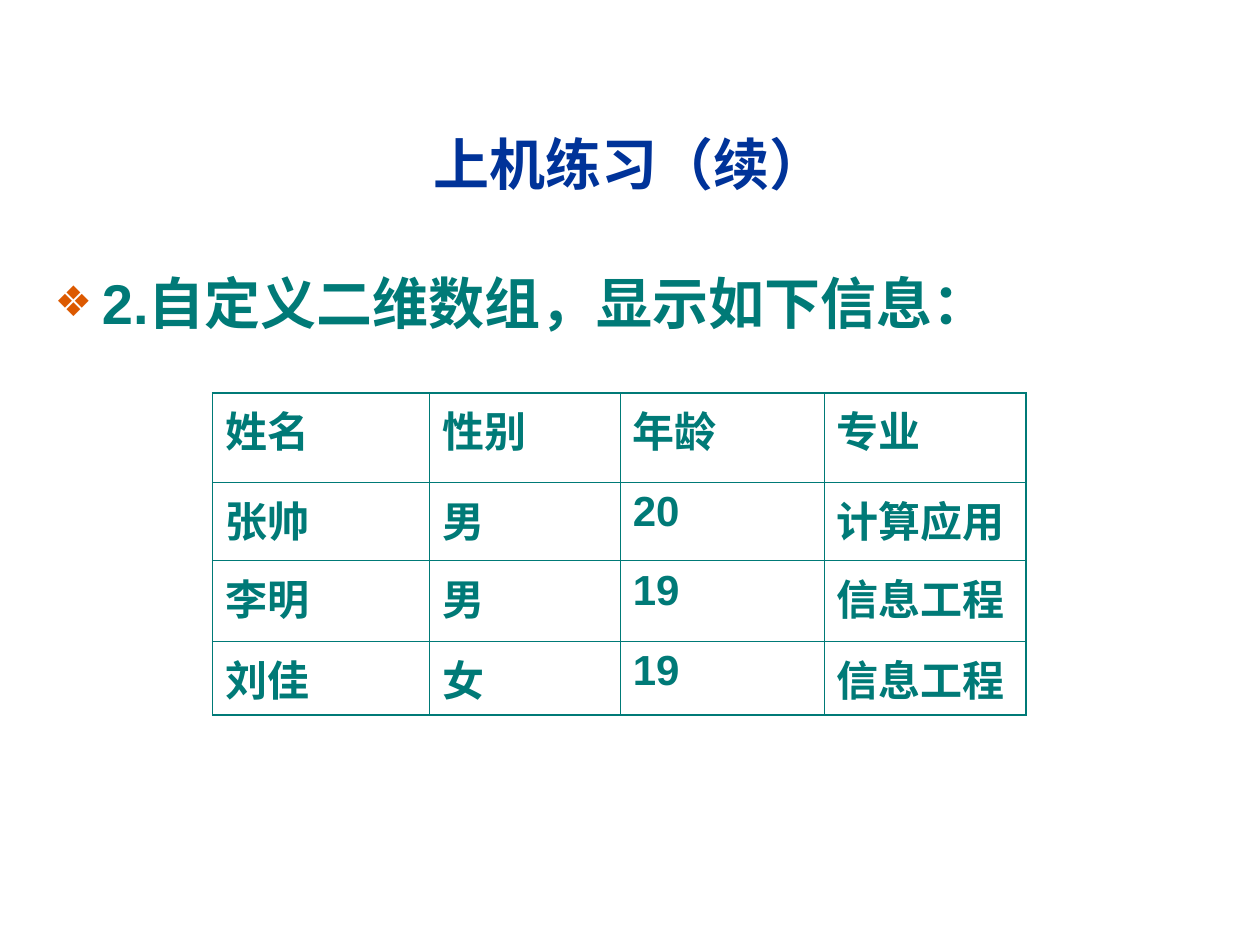
import dataclasses

import lxml.etree
import pptx
import pptx.dml.color
import pptx.enum.lang
import pptx.enum.text
import pptx.oxml.ns
import pptx.util

Pt = pptx.util.Pt
qn = pptx.oxml.ns.qn


@dataclasses.dataclass(frozen=True)
class Theme:
    font: str = "Arial"
    title: str = "003399"
    text: str = "007A77"
    bullet: str = "DC5900"
    heading_size: float = 32
    cell_size: float = 24
    outer_line: float = 1.08
    inner_line: float = 0.45


THEME = Theme()
ROWS = [
    ["姓名", "性别", "年龄", "专业"],
    ["张帅", "男", "20", "计算应用"],
    ["李明", "男", "19", "信息工程"],
    ["刘佳", "女", "19", "信息工程"],
]
COL_WIDTHS = [124, 109, 116.5, 115.5]
ROW_HEIGHTS = [51, 45, 46, 37.5]


def write(tf, text, size, color, align="LEFT", before=0):
    """Fill a text frame with one bold paragraph and return it."""
    p = tf.paragraphs[0]
    p.alignment = getattr(pptx.enum.text.PP_ALIGN, align)
    p.space_before = Pt(before)
    r = p.add_run()
    r.text = text
    r.font.name = THEME.font
    r.font.size = Pt(size)
    r.font.bold = True
    r.font.color.rgb = pptx.dml.color.RGBColor.from_string(color)
    r.font.language_id = pptx.enum.lang.MSO_LANGUAGE_ID.SIMPLIFIED_CHINESE
    return p


def place(sp, box, anchor):
    """Move a placeholder to a box and fix its text layout."""
    sp.left, sp.top, sp.width, sp.height = (Pt(v) for v in box)
    tf = sp.text_frame
    tf.word_wrap = True
    tf.auto_size = pptx.enum.text.MSO_AUTO_SIZE.NONE
    tf.vertical_anchor = getattr(pptx.enum.text.MSO_ANCHOR, anchor)
    return tf


def add_bullet(p, char, color, percent, indent):
    pPr = p._p.get_or_add_pPr()
    pPr.set("marL", str(Pt(indent)))
    pPr.set("indent", str(-Pt(indent)))
    clr = lxml.etree.SubElement(pPr, qn("a:buClr"))
    lxml.etree.SubElement(clr, qn("a:srgbClr"), val=color)
    lxml.etree.SubElement(pPr, qn("a:buSzPct"), val=str(percent * 1000))
    lxml.etree.SubElement(pPr, qn("a:buFont"), typeface=THEME.font)
    lxml.etree.SubElement(pPr, qn("a:buChar"), char=char)


def set_borders(cell, outer):
    """Draw all four sides; outer maps a side to True on the table's edge."""
    tcPr = cell._tc.get_or_add_tcPr()
    for i, (side, is_outer) in enumerate(outer.items()):
        width = THEME.outer_line if is_outer else THEME.inner_line
        ln = lxml.etree.Element(qn(f"a:ln{side}"), w=str(Pt(width)))
        fill = lxml.etree.SubElement(ln, qn("a:solidFill"))
        lxml.etree.SubElement(fill, qn("a:srgbClr"), val=THEME.text)
        tcPr.insert(i, ln)


def add_title(s, box):
    tf = place(s.shapes.title, box, "MIDDLE")
    write(tf, "上机练习（续）", THEME.heading_size, THEME.title, align="CENTER")


def add_task(s, box):
    tf = place(s.placeholders[1], box, "TOP")
    p = write(tf, "2.自定义二维数组，显示如下信息：", THEME.heading_size,
              THEME.text, before=8)
    add_bullet(p, "❖", THEME.bullet, percent=75, indent=27)


def add_student_table(s, left, top):
    last_row, last_col = len(ROWS) - 1, len(COL_WIDTHS) - 1
    table = s.shapes.add_table(
        len(ROWS), len(COL_WIDTHS), Pt(left), Pt(top),
        Pt(sum(COL_WIDTHS)), Pt(sum(ROW_HEIGHTS))).table
    table.first_row = table.horz_banding = False
    for col, width in zip(table.columns, COL_WIDTHS):
        col.width = Pt(width)
    for row, height in zip(table.rows, ROW_HEIGHTS):
        row.height = Pt(height)
    for i, values in enumerate(ROWS):
        for j, value in enumerate(values):
            cell = table.cell(i, j)
            cell.fill.background()
            write(cell.text_frame, value, THEME.cell_size, THEME.text, before=6)
            set_borders(cell, {"L": j == 0, "R": j == last_col,
                               "T": i == 0, "B": i == last_row})


def main():
    prs = pptx.Presentation()
    prs.slide_width, prs.slide_height = Pt(720), Pt(540)
    s = prs.slides.add_slide(prs.slide_layouts[1])
    # Heading, task and the data to show
    add_title(s, (24, 48, 672, 90))
    add_task(s, (24, 150, 672, 330))
    add_student_table(s, 121.5, 224.5)
    prs.save("out.pptx")


if __name__ == "__main__":
    main()
